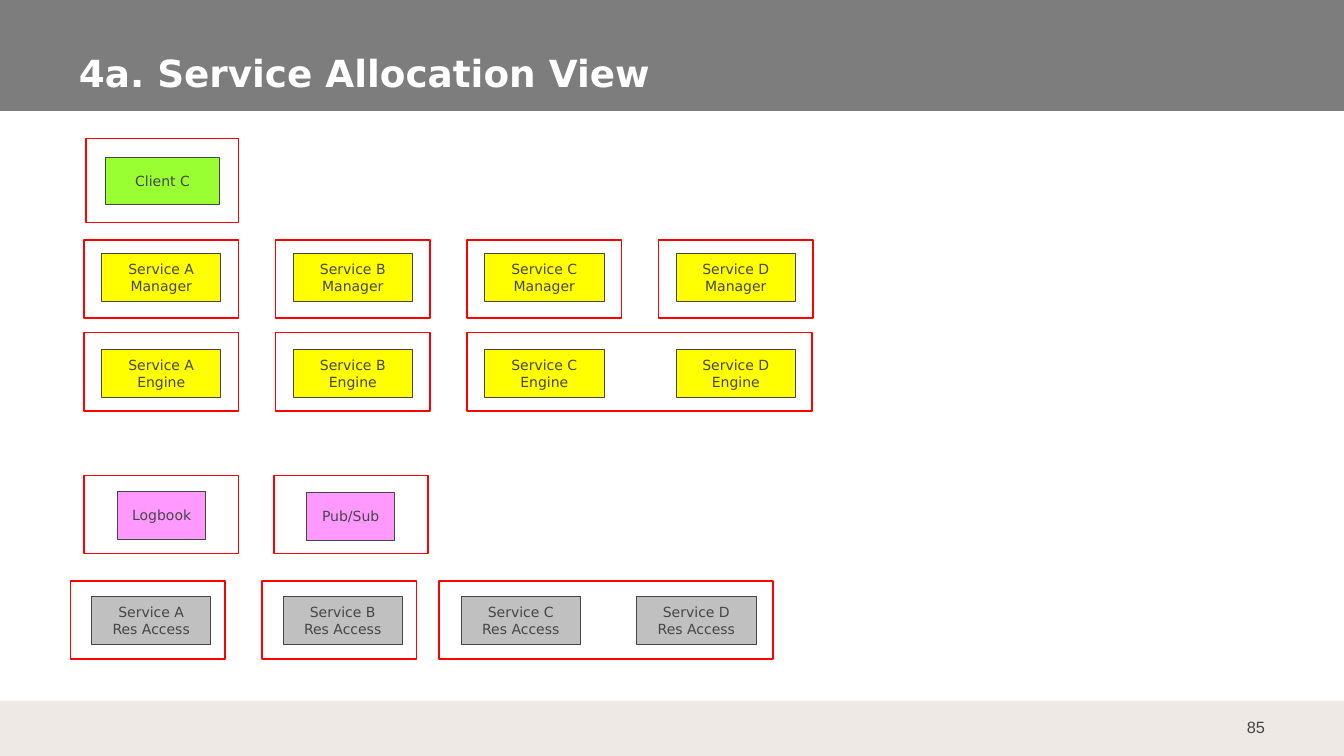
from dataclasses import dataclass

from pptx import Presentation
from pptx import util as u
from pptx.dml import color
from pptx.enum import shapes, text


@dataclass(frozen=True)
class Theme:
    font: str = "DejaVu Sans"
    number_font: str = "Arial"
    header: str = "7D7D7D"
    footer: str = "EFE9E5"
    white: str = "FFFFFF"
    ink: str = "464646"
    frame: str = "FF0000"
    client: str = "99FF33"
    service: str = "FFFF00"
    utility: str = "FF99FF"
    access: str = "C0C0C0"
    title_size: int = 32
    number_size: int = 14
    label_size: int = 12


class AllocationSlide:
    """Places elements on a grid of 16 columns by 9 rows."""

    COLUMNS, ROWS = 16, 9

    def __init__(self, deck, theme):
        self.theme = theme
        self.column = deck.slide_width / self.COLUMNS
        self.row = deck.slide_height / self.ROWS
        self.slide = deck.slides.add_slide(deck.slide_layouts[5])

    def place(self, left, top, width, height):
        return (round(left * self.column), round(top * self.row),
                round(width * self.column), round(height * self.row))

    def set_text(self, frame, words, size, ink, align, anchor, font=None,
                 bold=False, wrap=True, margins=(0.1, 0.05)):
        side, edge = (u.Inches(margin) for margin in margins)
        layout = dict(word_wrap=wrap, vertical_anchor=anchor,
                      auto_size=text.MSO_AUTO_SIZE.NONE,
                      margin_left=side, margin_right=side,
                      margin_top=edge, margin_bottom=edge)
        for name, value in layout.items():
            setattr(frame, name, value)
        paragraph = frame.paragraphs[0]
        paragraph.text = words
        paragraph.alignment = align
        look = dict(name=font or self.theme.font, size=u.Pt(size), bold=bold)
        for run in paragraph.runs:
            for name, value in look.items():
                setattr(run.font, name, value)
            run.font.color.rgb = color.RGBColor.from_string(ink)

    def rectangle(self, left, top, width, height, fill=None, line=None, weight=0.75):
        box = self.slide.shapes.add_shape(
            shapes.MSO_SHAPE.RECTANGLE, *self.place(left, top, width, height))
        box.shadow.inherit = False
        if fill:
            box.fill.solid()
            box.fill.fore_color.rgb = color.RGBColor.from_string(fill)
        else:
            box.fill.background()
        if line:
            box.line.color.rgb = color.RGBColor.from_string(line)
            box.line.width = u.Pt(weight)
        else:
            box.line.fill.background()
        return box

    def frame(self, left, top, width=1.84, height=0.93):
        self.rectangle(left, top, width, height, line=self.theme.frame, weight=1.5)

    def component(self, label, left, top, fill, width=1.42):
        box = self.rectangle(left, top, width, 0.57, fill, self.theme.ink)
        self.set_text(box.text_frame, label, self.theme.label_size, self.theme.ink,
                      text.PP_ALIGN.CENTER, text.MSO_ANCHOR.MIDDLE, wrap=False)

    def title(self, words):
        heading = self.slide.shapes.title
        heading.left, heading.top, heading.width, heading.height = self.place(
            0.8, 0.46, 14.21, 0.74)
        self.set_text(heading.text_frame, words, self.theme.title_size,
                      self.theme.white, text.PP_ALIGN.LEFT, text.MSO_ANCHOR.BOTTOM,
                      bold=True, margins=(0.14, 0.07))
        # Bring the title in front of the header band
        self.slide.shapes.element.append(heading.element)

    def page_number(self, number):
        corner = self.slide.shapes.add_textbox(*self.place(14.4, 8.42, 0.8, 0.48))
        self.set_text(corner.text_frame, number, self.theme.number_size,
                      self.theme.ink, text.PP_ALIGN.RIGHT, text.MSO_ANCHOR.MIDDLE,
                      font=self.theme.number_font, margins=(0.14, 0.07))


def main():
    deck = Presentation()
    deck.slide_width, deck.slide_height = u.Inches(16), u.Inches(9)
    theme = Theme()
    view = AllocationSlide(deck, theme)

    # Header and footer
    view.rectangle(-0.02, 0, 16.05, 1.32, theme.header)
    view.rectangle(0, 8.34, 16, 0.66, theme.footer)
    view.page_number("85")
    view.title("4a. Service Allocation View")

    # Client
    view.component("Client C", 1.26, 1.87, theme.client, width=1.35)
    view.frame(1.02, 1.65, 1.82, 1)

    # Managers and engines, one column per service
    services = "ABCD"
    first, pitch, inset = 1, 2.28, 0.21
    service_lefts = [first + pitch * index for index in range(len(services))]
    for service, left in zip(services, service_lefts):
        view.component(f"Service {service}\nManager", left + inset, 3.02, theme.service)
        view.component(f"Service {service}\nEngine", left + inset, 4.16, theme.service)
        view.frame(left, 2.86)

    # Engines C and D share one process
    for left, width in zip(service_lefts, (1.84, 1.84, 4.11)):
        view.frame(left, 3.96, width)

    # Utilities
    for utility, left, top, frame_left in (("Logbook", 1.4, 5.85, 1),
                                           ("Pub/Sub", 3.65, 5.86, 3.26)):
        view.component(utility, left, top, theme.utility, width=1.05)
        view.frame(frame_left, 5.66)

    # Resource access, with C and D sharing one process
    for service, left in zip(services, (1.09, 3.37, 5.49, 7.58)):
        view.component(f"Service {service}\nRes Access", left, 7.1, theme.access)
    for left, width in ((0.84, 1.84), (3.12, 1.84), (5.23, 3.97)):
        view.frame(left, 6.92, width)

    deck.save("out.pptx")


if __name__ == "__main__":
    main()
